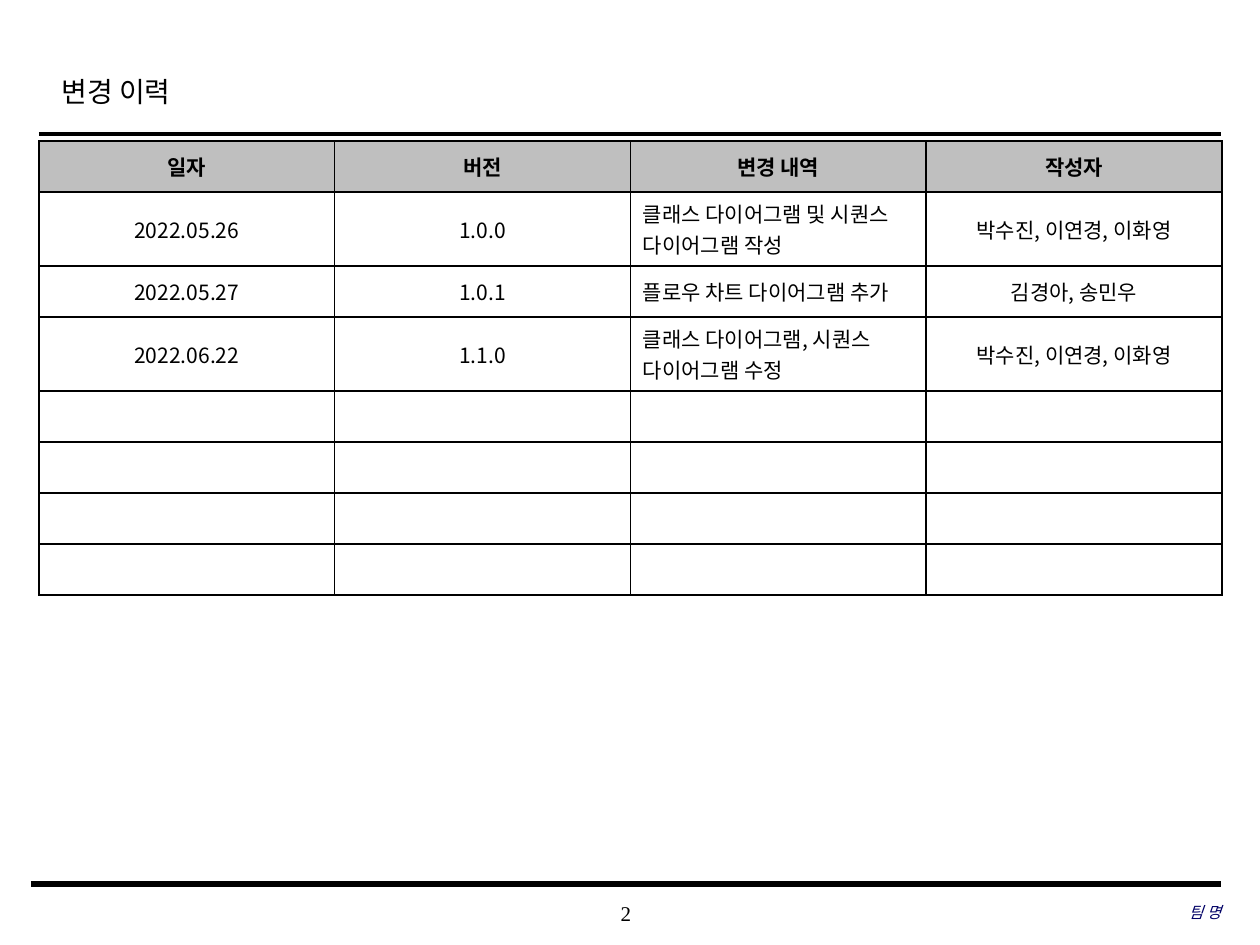
from lxml import etree
from pptx import Presentation
from pptx import util as u
from pptx.dml.color import RGBColor
from pptx.enum import shapes, text
from pptx.oxml.ns import qn

PX = 914400 // 126
BLACK = RGBColor(0, 0, 0)
NAVY = RGBColor(0, 0, 0x66)
GRAY = RGBColor(0xBF, 0xBF, 0xBF)
WHITE = RGBColor(0xFF, 0xFF, 0xFF)
SERIF = "Times New Roman"
SANS = "Noto Sans CJK KR"
LEFT, CENTER, RIGHT = text.PP_ALIGN.LEFT, text.PP_ALIGN.CENTER, text.PP_ALIGN.RIGHT

HEADINGS = ["일자", "버전", "변경 내역", "작성자"]
CHANGES = [
    ["2022.05.26", "1.0.0", "클래스 다이어그램 및 시퀀스 다이어그램 작성", "박수진, 이연경, 이화영"],
    ["2022.05.27", "1.0.1", "플로우 차트 다이어그램 추가", "김경아, 송민우"],
    ["2022.06.22", "1.1.0", "클래스 다이어그램, 시퀀스 다이어그램 수정", "박수진, 이연경, 이화영"],
]
EMPTY_ROWS = 4
DETAIL_COLUMN = 2
DETAIL_LINE_LENGTH = 18
ROW_HEIGHT, TWO_LINE_ROW_HEIGHT = 51, 74


def px(*lengths):
    return [u.Emu(length * PX) for length in lengths]


def add_run(paragraph, words, size, font=SERIF, color=BLACK, bold=False, italic=False):
    run = paragraph.add_run()
    run.text = words
    run.font.size = u.Pt(size)
    run.font.name = font
    run.font.bold = bold
    run.font.italic = italic
    run.font.color.rgb = color
    east_asian = etree.Element(qn("a:ea"), typeface=SANS)
    run.font._element.find(qn("a:latin")).addnext(east_asian)


def add_title(slide, box, words):
    title = slide.shapes.title
    title.left, title.top, title.width, title.height = px(*box)
    frame = title.text_frame
    frame.auto_size = text.MSO_AUTO_SIZE.NONE
    frame.vertical_anchor = text.MSO_ANCHOR.TOP
    paragraph = frame.paragraphs[0]
    paragraph.alignment = LEFT
    paragraph.line_spacing = 1.2
    add_run(paragraph, words, 16)


def add_rule(slide, left, right, y, weight):
    """Draw a horizontal line across the page."""
    rule = slide.shapes.add_connector(shapes.MSO_CONNECTOR.STRAIGHT, *px(left, y, right, y))
    rule.line.color.rgb = BLACK
    rule.line.width = u.Pt(weight)
    etree.SubElement(rule._element.spPr, qn("a:effectLst"))


def add_footer_text(slide, box, words, align, size, **style):
    frame = slide.shapes.add_textbox(*px(*box)).text_frame
    frame.word_wrap = True
    frame.vertical_anchor = text.MSO_ANCHOR.MIDDLE
    frame.margin_left = frame.margin_top = frame.margin_right = frame.margin_bottom = 0
    paragraph = frame.paragraphs[0]
    paragraph.alignment = align
    add_run(paragraph, words, size, **style)


def add_cell_borders(cell):
    properties = cell._tc.get_or_add_tcPr()
    for position, side in enumerate(("a:lnL", "a:lnR", "a:lnT", "a:lnB")):
        border = etree.Element(qn(side), w=str(u.Pt(1)))
        fill = etree.SubElement(border, qn("a:solidFill"))
        etree.SubElement(fill, qn("a:srgbClr"), val=str(BLACK))
        properties.insert(position, border)


def row_height(entries):
    wraps = len(entries[DETAIL_COLUMN]) > DETAIL_LINE_LENGTH
    return TWO_LINE_ROW_HEIGHT if wraps else ROW_HEIGHT


def add_history_table(slide, left, top, width):
    rows = [HEADINGS] + CHANGES + [[""] * len(HEADINGS)] * EMPTY_ROWS
    heights = [row_height(entries) for entries in rows]
    history = slide.shapes.add_table(
        len(rows), len(HEADINGS), *px(left, top, width, sum(heights))
    ).table
    for row_index, entries in enumerate(rows):
        history.rows[row_index].height = px(heights[row_index])[0]
        heading = row_index == 0
        for column, words in enumerate(entries):
            cell = history.cell(row_index, column)
            cell.vertical_anchor = text.MSO_ANCHOR.MIDDLE
            cell.fill.solid()
            cell.fill.fore_color.rgb = GRAY if heading else WHITE
            add_cell_borders(cell)
            paragraph = cell.text_frame.paragraphs[0]
            if words:
                detail = column == DETAIL_COLUMN and not heading
                paragraph.alignment = LEFT if detail else CENTER
                add_run(paragraph, words, 12, SANS, bold=heading)
            else:
                etree.SubElement(paragraph._p, qn("a:endParaRPr"), sz="1200")


def build_history_slide(deck):
    slide = deck.slides.add_slide(deck.slide_layouts[5])
    add_rule(slide, 39, 1221, 134, 2.5)
    add_rule(slide, 31, 1221, 884, 3)
    add_title(slide, (49, 62, 951, 63), "변경 이력")
    add_footer_text(slide, (495, 892, 262, 42), "2", CENTER, 12)
    add_footer_text(slide, (835, 891, 386, 42), "팀 명", RIGHT, 9, color=NAVY, italic=True)
    add_history_table(slide, 39, 141, 1183)


def main():
    deck = Presentation()
    deck.slide_width, deck.slide_height = px(1260, 945)
    build_history_slide(deck)
    deck.save("out.pptx")


if __name__ == "__main__":
    main()
